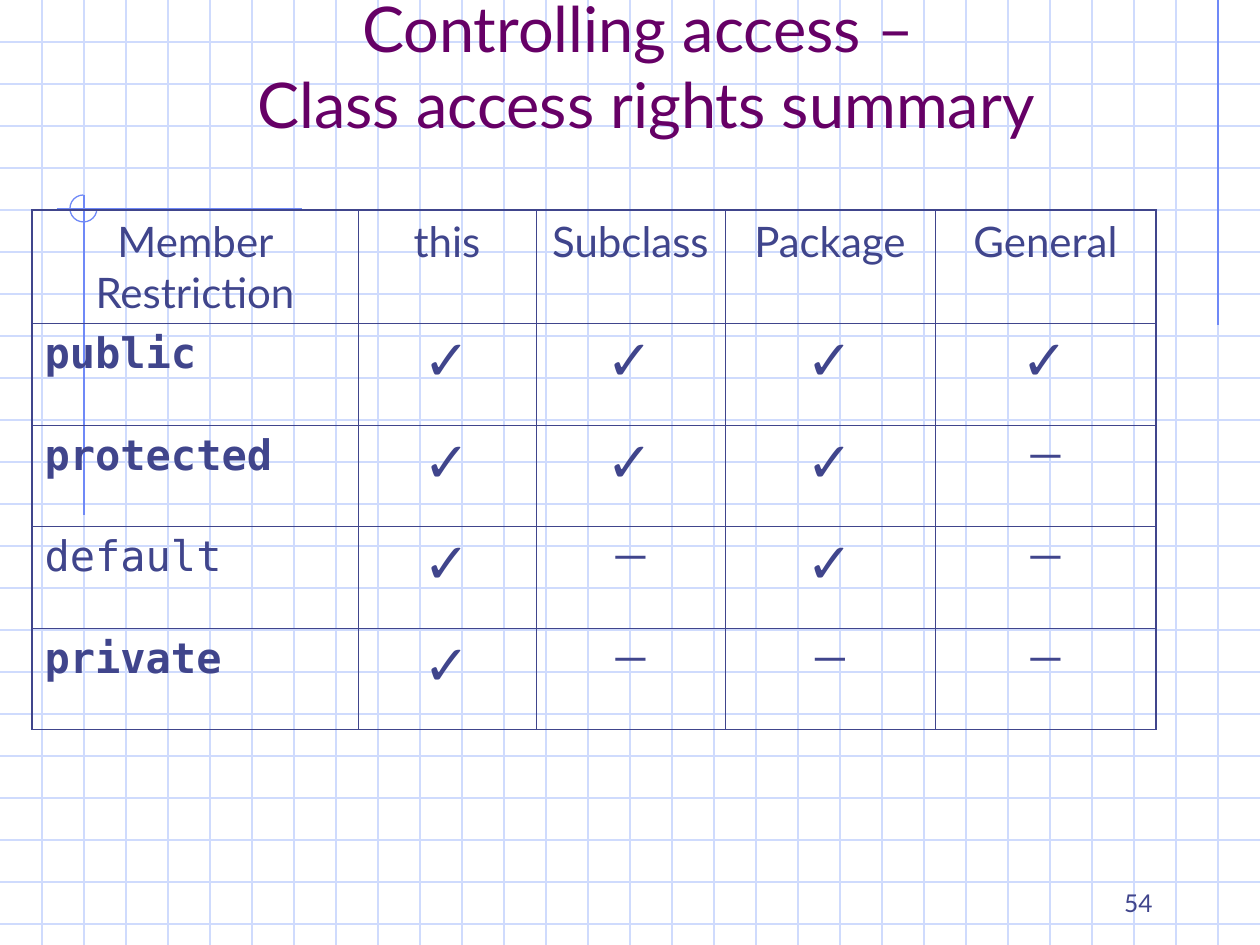
from lxml import etree
from pptx import Presentation, util as u
from pptx.dml.color import RGBColor
from pptx.enum import shapes, text
from pptx.oxml.ns import qn

WIDTH, HEIGHT = 1260, 945
GRID_STEP = 42
EMU_PER_PX = 914400 / 126
BODY, MONO, SYMBOL = "Lato", "DejaVu Sans Mono", "Arial"
INK, PURPLE, BLUE, PALE = "40458C", "660066", "6F89F7", "CFDBFD"
THIN, THICK = 0.45, 1.08
LEFT, CENTER, RIGHT = text.PP_ALIGN.LEFT, text.PP_ALIGN.CENTER, text.PP_ALIGN.RIGHT


def px(length):
    return u.Emu(round(length * EMU_PER_PX))


def color(value):
    return RGBColor.from_string(value)


class SlideBuilder:
    """Holds the style and the current slide."""

    formats = {
        "title": dict(name=BODY, size=u.Pt(36), bold=False),
        "header": dict(name=BODY, size=u.Pt(24), bold=False),
        "keyword": dict(name=MONO, size=u.Pt(24), bold=True),
        "plain": dict(name=MONO, size=u.Pt(24), bold=False),
        "✓": dict(name=SYMBOL, size=u.Pt(32), bold=False),
        "─": dict(name=SYMBOL, size=u.Pt(24), bold=False),
        "number": dict(name=BODY, size=u.Pt(14), bold=False),
    }

    def __init__(self, slide):
        self.slide = slide
        self.shapes = slide.shapes

    def fill_text(self, frame, words, style, align, ink=INK):
        frame.word_wrap = True
        frame.text = words
        para = frame.paragraphs[0]
        para.alignment = align
        for span in para.runs:
            for key, value in self.formats[style].items():
                setattr(span.font, key, value)
            span.font.color.rgb = color(ink)

    def title(self, words, left, top, width, height):
        box = self.shapes.title
        box.left, box.top, box.width, box.height = map(px, (left, top, width, height))
        self.fill_text(box.text_frame, words, "title", CENTER, PURPLE)
        box.text_frame.auto_size = text.MSO_AUTO_SIZE.NONE
        box.text_frame.vertical_anchor = text.MSO_ANCHOR.BOTTOM
        # Bring the title in front of the grid
        box.element.getparent().append(box.element)

    def line(self, x1, y1, x2, y2, ink):
        line = self.shapes.add_connector(
            shapes.MSO_CONNECTOR.STRAIGHT, *map(px, (x1, y1, x2, y2)))
        line.line.color.rgb = color(ink)
        line.line.width = u.Pt(0.75)
        etree.SubElement(line.element.spPr, qn("a:effectLst"))

    def arc(self, left, top, size, end_angle, ink):
        arc = self.shapes.add_shape(
            shapes.MSO_SHAPE.ARC, *map(px, (left, top, size, size)))
        arc.adjustments[0] = 0
        arc.adjustments[1] = end_angle * 0.6
        arc.shadow.inherit = False
        arc.fill.background()
        arc.line.color.rgb = color(ink)
        arc.line.width = u.Pt(0.75)

    def text_box(self, words, style, align, left, top, width, height):
        box = self.shapes.add_textbox(*map(px, (left, top, width, height)))
        self.fill_text(box.text_frame, words, style, align)
        box.text_frame.vertical_anchor = text.MSO_ANCHOR.BOTTOM

    def border(self, cell, side, points):
        properties = cell._tc.get_or_add_tcPr()
        edge = etree.SubElement(properties, qn(f"a:ln{side}"), w=str(int(u.Pt(points))))
        fill = etree.SubElement(edge, qn("a:solidFill"))
        etree.SubElement(fill, qn("a:srgbClr"), val=INK)

    def table(self, rows, left, top, widths, heights):
        frame = self.shapes.add_table(
            len(rows), len(widths),
            *map(px, (left, top, sum(widths), sum(heights))))
        table = frame.table
        table.first_row = table.horz_banding = False
        for column, width in zip(table.columns, widths):
            column.width = px(width)
        for row, height in zip(table.rows, heights):
            row.height = px(height)
        last_row, last_column = len(rows) - 1, len(widths) - 1
        for r, row in enumerate(rows):
            for c, words in enumerate(row):
                if r == 0:
                    style = "header"
                elif c == 0:
                    style = "plain" if words == "default" else "keyword"
                else:
                    style = words
                cell = table.cell(r, c)
                self.fill_text(cell.text_frame, words, style,
                               LEFT if r and c == 0 else CENTER)
                # Outer edges are thicker than inner ones
                outer = {"L": c == 0, "R": c == last_column,
                         "T": r == 0, "B": r == last_row}
                for side, is_outer in outer.items():
                    self.border(cell, side, THICK if is_outer else THIN)
                cell.fill.background()


def main():
    deck = Presentation()
    deck.slide_width, deck.slide_height = px(WIDTH), px(HEIGHT)
    page = SlideBuilder(deck.slides.add_slide(deck.slide_layouts[5]))

    # Background grid
    for y in range(GRID_STEP, HEIGHT, GRID_STEP):
        page.line(0, y, WIDTH, y, PALE)
    for x in range(GRID_STEP, WIDTH, GRID_STEP):
        page.line(x, 0, x, HEIGHT, PALE)

    # Accent lines and arc
    page.line(1218, 0, 1218, 325, BLUE)
    page.line(57, 209, 302, 209, BLUE)
    page.line(84, 195, 84, 515, BLUE)
    page.arc(70, 195, 27, 270, BLUE)

    page.title("Controlling access – \vClass access rights summary", 32, 42, 1228, 105)

    # Access rights
    page.table(
        [["Member Restriction", "this", "Subclass", "Package", "General"],
         ["public", *"✓✓✓✓"],
         ["protected", *"✓✓✓─"],
         ["default", *"✓─✓─"],
         ["private", *"✓───"]],
        32, 210, [326, 178, 189, 210, 221], [113, 102, 101, 102, 101])

    # Slide number
    page.text_box("54", "number", RIGHT, 903, 861, 262, 63)

    deck.save("out.pptx")


if __name__ == "__main__":
    main()
